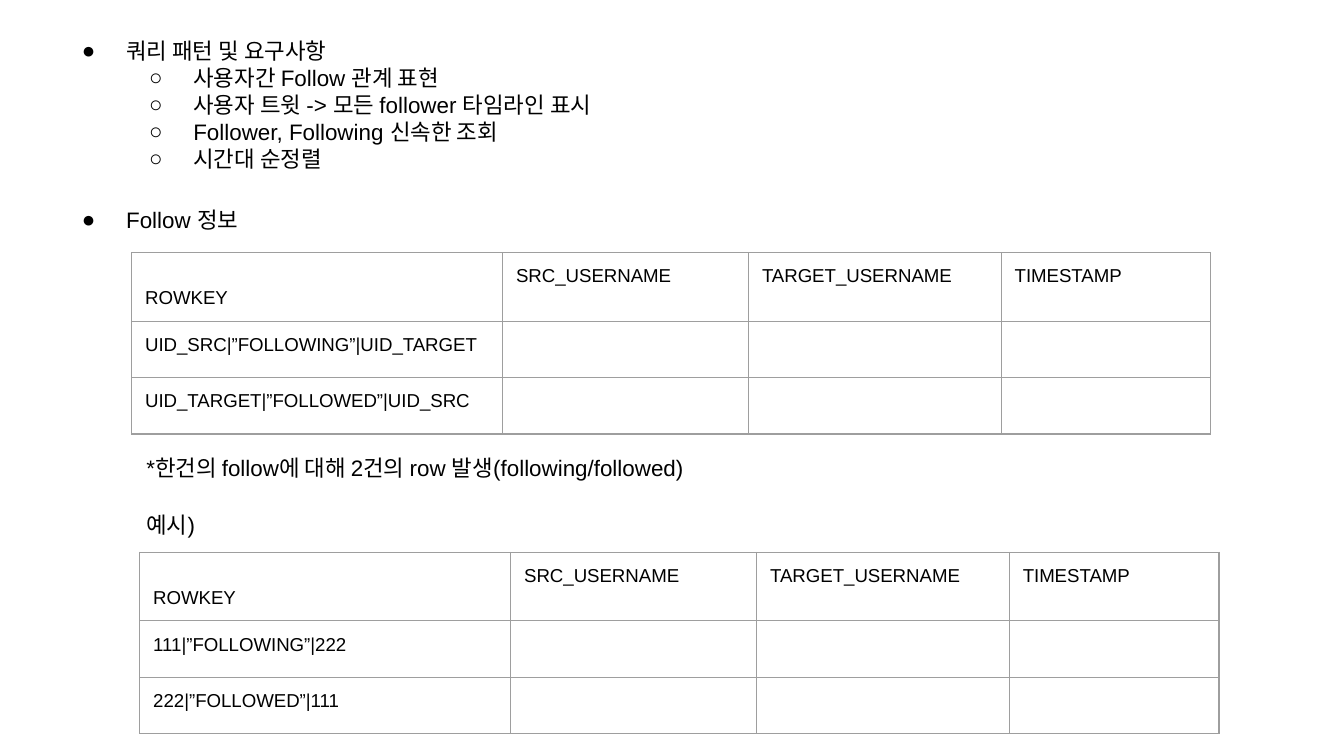
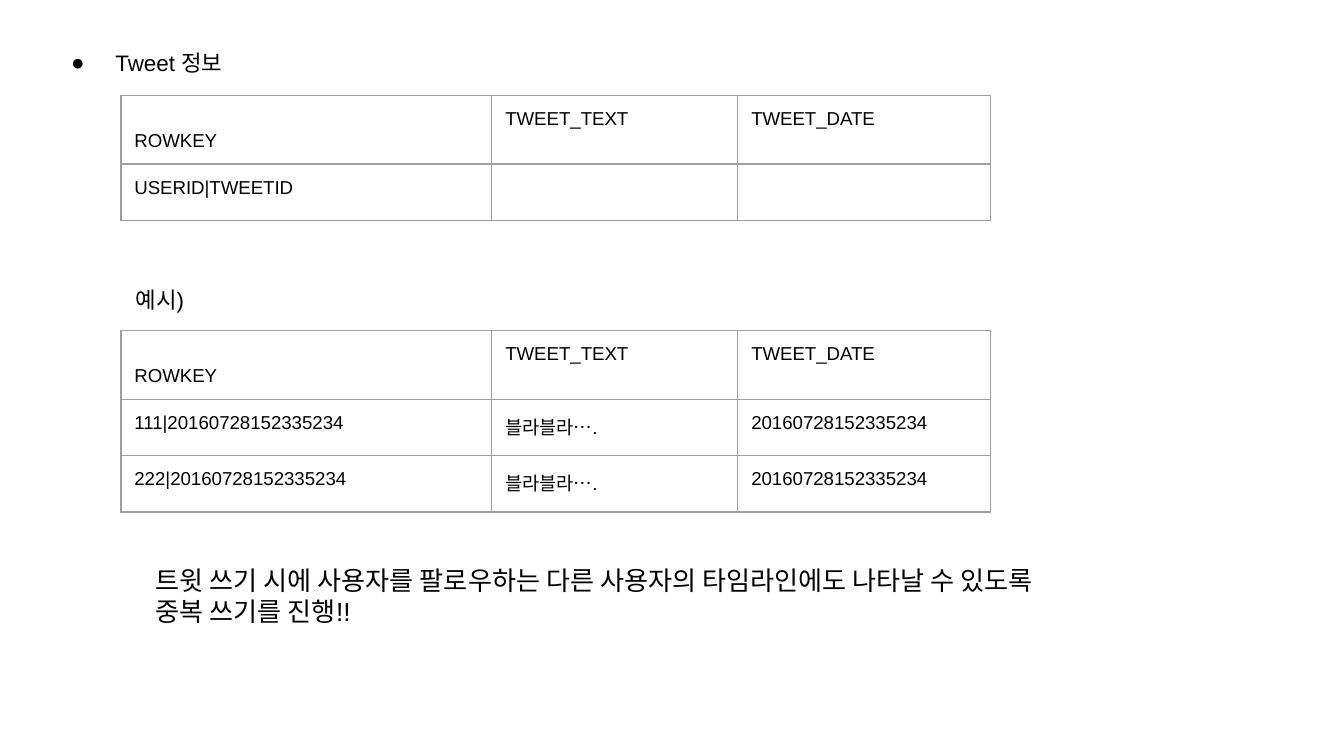
from dataclasses import dataclass

from lxml.etree import SubElement
from pptx import Presentation
from pptx.dml.color import RGBColor
from pptx.enum.text import MSO_ANCHOR
from pptx.oxml.ns import qn
from pptx.util import Inches, Pt


@dataclass(frozen=True)
class Theme:
    """Colours, type sizes and spacing shared by the slides."""

    font: str = "Arial"
    text: str = "000000"
    border: str = "9E9E9E"
    border_width: float = 0.75
    body_size: int = 12
    cell_size: int = 10
    remark_size: int = 14
    inset: float = 0.1
    header_drop: float = 0.16
    row_height: float = 0.42
    header_height: float = 0.51
    column_widths: tuple = (2.76, 1.83, 1.88, 1.56)
    bullets: tuple = ("●", "○")
    bullet_step: float = 0.5
    bullet_hang: float = 0.33


def write_text(paragraph, text, *, size, color, font):
    """Add one formatted run to a paragraph."""
    run = paragraph.add_run()
    run.text = text
    run.font.size = Pt(size)
    run.font.name = font
    run.font.color.rgb = RGBColor.from_string(color)


def add_solid_color(parent, tag, color):
    """Append a colour element to an XML parent."""
    SubElement(SubElement(parent, qn(tag)), qn("a:srgbClr"), val=color)


class Deck:
    """Draws the elements of each slide in one style."""

    def __init__(self, theme):
        """Start an empty widescreen presentation."""
        self.theme = theme
        self.presentation = Presentation()
        self.presentation.slide_width = Inches(10)
        self.presentation.slide_height = Inches(10 * 9 / 16)
        self.slide = None

    def new_slide(self):
        """Make a blank slide the current one."""
        self.slide = self.presentation.slides.add_slide(self.presentation.slide_layouts[6])

    def set_insets(self, target, vertical=None):
        """Give a cell or text frame the shared margins."""
        target.margin_left = target.margin_right = Inches(self.theme.inset)
        target.margin_top = target.margin_bottom = Inches(vertical or self.theme.inset)

    def text(self, lines, left, top, width=8.02, height=0.37, *, size=None,
             levels=None, anchor=MSO_ANCHOR.TOP, vertical_inset=None):
        """Add a text box, with bullets where levels are given."""
        shape = self.slide.shapes.add_textbox(
            Inches(left), Inches(top), Inches(width), Inches(height))
        frame = shape.text_frame
        frame.word_wrap = True
        frame.vertical_anchor = anchor
        self.set_insets(frame, vertical_inset)
        for index, line in enumerate(lines):
            paragraph = frame.add_paragraph() if index else frame.paragraphs[0]
            write_text(paragraph, line, size=size or self.theme.body_size,
                       color=self.theme.text, font=self.theme.font)
            if levels:
                self.bullet(paragraph, levels[index])

    def bullet(self, paragraph, level):
        """Give a paragraph the bullet and indent of its level."""
        paragraph.level = level
        properties = paragraph._p.get_or_add_pPr()
        properties.set("marL", str(Inches(self.theme.bullet_step * (level + 1))))
        properties.set("indent", str(-Inches(self.theme.bullet_hang)))
        add_solid_color(properties, "a:buClr", self.theme.text)
        SubElement(properties, qn("a:buFont"), typeface=self.theme.font)
        SubElement(properties, qn("a:buChar"), char=self.theme.bullets[level])

    def heading(self, text, left, top):
        """Add a single top-level bullet above a table."""
        self.text([text], left, top, 9.32, levels=[0], anchor=MSO_ANCHOR.MIDDLE)

    def table(self, rows, left, top):
        """Add a bordered table whose first row is the taller header."""
        theme = self.theme
        widths = theme.column_widths[:len(rows[0])]
        heights = [theme.header_height] + [theme.row_height] * (len(rows) - 1)
        table = self.slide.shapes.add_table(
            len(rows), len(widths), Inches(left), Inches(top),
            Inches(sum(widths)), Inches(sum(heights))).table
        table.first_row = table.horz_banding = False
        for column, width in zip(table.columns, widths):
            column.width = Inches(width)
        for row, height, texts in zip(table.rows, heights, rows):
            row.height = Inches(height)
            for cell, text in zip(row.cells, texts):
                self.cell(cell, text)
        table.cell(0, 0).margin_top = Inches(theme.inset + theme.header_drop)
        table.cell(0, 0).margin_bottom = Inches(theme.inset / 2)

    def cell(self, cell, text):
        """Border a table cell and write its text, if any."""
        theme = self.theme
        properties = cell._tc.get_or_add_tcPr()
        for side in "LRTB":
            line = SubElement(properties, qn(f"a:ln{side}"), w=str(Pt(theme.border_width)))
            add_solid_color(line, "a:solidFill", theme.border)
        cell.fill.background()
        if text:
            self.set_insets(cell)
            write_text(cell.text_frame.paragraphs[0], text, size=theme.cell_size,
                       color=theme.text, font=theme.font)


def follow_table(deck, keys, left, top):
    """Add a follow table with one row for each key."""
    header = ["ROWKEY", "SRC_USERNAME", "TARGET_USERNAME", "TIMESTAMP"]
    deck.table([header] + [[key, "", "", ""] for key in keys], left, top)


def tweet_table(deck, rows, top):
    """Add a tweet table with the given rows."""
    deck.table([["ROWKEY", "TWEET_TEXT", "TWEET_DATE"]] + rows, 0.9, top)


def build_follow_slide(deck):
    """Build the requirements and follow slide."""
    deck.new_slide()
    deck.text([
        "쿼리 패턴 및 요구사항",
        "사용자간 Follow 관계 표현",
        "사용자 트윗 -> 모든 follower 타임라인 표시",
        "Follower, Following 신속한 조회",
        "시간대 순정렬",
    ], 0.34, 0.18, 9.32, 1.26, levels=[0, 1, 1, 1, 1])
    deck.heading("Follow 정보", 0.34, 1.45)
    follow_table(deck, ["UID_SRC|”FOLLOWING”|UID_TARGET",
                        "UID_TARGET|”FOLLOWED”|UID_SRC"], 0.98, 1.88)
    deck.text(["*한건의 follow에 대해 2건의 row 발생(following/followed)"], 0.99, 3.28)
    deck.text(["예시)"], 0.99, 3.7)
    follow_table(deck, ["111|”FOLLOWING”|222", "222|”FOLLOWED”|111"], 1.04, 4.11)


def build_tweet_slide(deck):
    """Build the tweet slide."""
    date = "20160728152335234"
    deck.new_slide()
    deck.heading("Tweet 정보", 0.26, 0.28)
    tweet_table(deck, [["USERID|TWEETID", "", ""]], 0.71)
    deck.text(["예시)"], 0.91, 2.03)
    tweet_table(deck, [[f"{user}|{date}", "블라블라….", date] for user in (111, 222)], 2.46)
    deck.text([
        "트윗 쓰기 시에 사용자를 팔로우하는 다른 사용자의 타임라인에도 나타날 수 있도록",
        "중복 쓰기를 진행!!",
    ], 1.06, 4.15, 7.42, 0.57, size=deck.theme.remark_size, vertical_inset=0.05)


def main():
    """Build and save the presentation."""
    deck = Deck(Theme())
    build_follow_slide(deck)
    build_tweet_slide(deck)
    deck.presentation.save("out.pptx")


if __name__ == "__main__":
    main()
